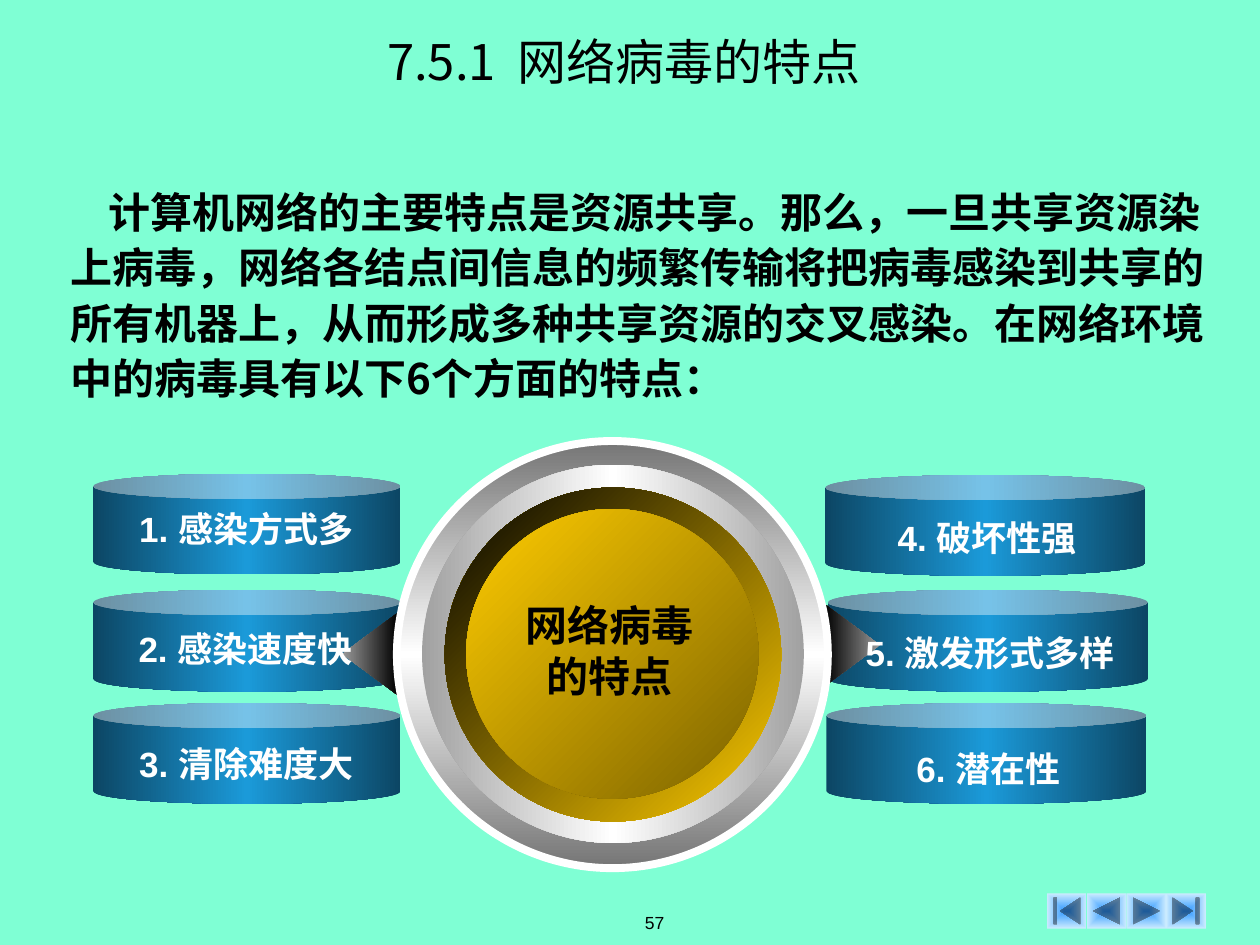
from dataclasses import dataclass

import pptx
import pptx.dml.color
import pptx.enum.shapes
import pptx.enum.text
import pptx.oxml.ns
import pptx.util
from lxml import etree

Inches = pptx.util.Inches
RGBColor = pptx.dml.color.RGBColor
Shape = pptx.enum.shapes.MSO_SHAPE
Align = pptx.enum.text.PP_ALIGN
Anchor = pptx.enum.text.MSO_ANCHOR
AutoSize = pptx.enum.text.MSO_AUTO_SIZE
qn = pptx.oxml.ns.qn

AQUA = RGBColor(0x7F, 0xFF, 0xD4)
BLACK = RGBColor(0, 0, 0)
WHITE = RGBColor(0xFF, 0xFF, 0xFF)
DEEP_BLUE = RGBColor(0x0C, 0x46, 0x64)
BRIGHT_BLUE = RGBColor(0x1B, 0x9A, 0xD9)
BUTTON_BLUE = RGBColor(0x33, 0x99, 0xFF)
BUTTON_PALE = RGBColor(0xCC, 0xEC, 0xFF)
DARK_GREY = RGBColor(0x75, 0x75, 0x75)
MID_GREY = RGBColor(0xA1, 0xA1, 0xA1)
ARROW_GREY = RGBColor(0x9A, 0x9A, 0x9A)
GOLD = RGBColor(0xFF, 0xCC, 0x00)
DARK_GOLD = RGBColor(0x7B, 0x62, 0x00)

LATIN = "Arial"
CJK = "Noto Sans CJK SC"


@dataclass
class Box:
    left: float
    top: float
    width: float
    height: float

    def lengths(self):
        return [Inches(v) for v in (self.left, self.top, self.width, self.height)]


@dataclass
class Gradient:
    """Evenly spaced colours; without an angle they spread from the centre."""
    colours: tuple
    angle: int | None = None


@dataclass
class Feature:
    text: str
    can: Box
    label: Box


@dataclass
class Arrow:
    box: Box
    rotation: int


@dataclass
class Disc:
    box: Box
    gradient: Gradient


CAN_GRADIENT = Gradient((DEEP_BLUE, BRIGHT_BLUE, DEEP_BLUE), 180)
BUTTON_GRADIENT = Gradient((BUTTON_BLUE, BUTTON_PALE))
ARROW_GRADIENT = Gradient((ARROW_GREY, BLACK), 90)

FEATURES = [
    Feature("1. 感染方式多", Box(0.74, 3.76, 2.44, 0.8), Box(0.79, 3.98, 2.33, 0.44)),
    Feature("2. 感染速度快", Box(0.74, 4.68, 2.44, 0.81), Box(0.77, 4.93, 2.36, 0.44)),
    Feature("3. 清除难度大", Box(0.74, 5.58, 2.44, 0.8), Box(0.79, 5.84, 2.33, 0.44)),
    Feature("4. 破坏性强", Box(6.55, 3.77, 2.54, 0.8), Box(6.99, 4.05, 1.69, 0.44)),
    Feature("5. 激发形式多样", Box(6.57, 4.68, 2.54, 0.81), Box(6.74, 4.96, 2.24, 0.44)),
    Feature("6. 潜在性", Box(6.56, 5.58, 2.54, 0.8), Box(7.14, 5.88, 1.41, 0.44)),
]
ARROWS = [
    Arrow(Box(2.61, 4.97, 0.65, 0.44), 270),
    Arrow(Box(6.44, 4.9, 0.65, 0.44), 90),
]
DISCS = [
    Disc(Box(3.15, 3.5, 3.42, 3.39), Gradient((DARK_GREY, WHITE, DARK_GREY), 90)),
    Disc(Box(3.35, 3.69, 3.03, 3), Gradient((MID_GREY, WHITE, MID_GREY), 180)),
    Disc(Box(3.53, 3.87, 2.67, 2.65), Gradient((GOLD, BLACK), 225)),
    Disc(Box(3.7, 4.04, 2.32, 2.3), Gradient((DARK_GOLD, GOLD), 225)),
]
BUTTONS = [
    Shape.ACTION_BUTTON_BEGINNING,
    Shape.ACTION_BUTTON_BACK_OR_PREVIOUS,
    Shape.ACTION_BUTTON_FORWARD_OR_NEXT,
    Shape.ACTION_BUTTON_END,
]


def fill_gradient(shape, gradient: Gradient) -> None:
    shape.fill.gradient()
    grad = shape._element.spPr.find(qn("a:gradFill"))
    for child in list(grad):
        grad.remove(child)
    stops = etree.SubElement(grad, qn("a:gsLst"))
    last = len(gradient.colours) - 1
    for i, colour in enumerate(gradient.colours):
        stop = etree.SubElement(stops, qn("a:gs"), pos=str(100000 * i // last))
        etree.SubElement(stop, qn("a:srgbClr"), val=str(colour))
    if gradient.angle is None:
        spread = etree.SubElement(grad, qn("a:path"), path="rect")
        etree.SubElement(spread, qn("a:fillToRect"),
                         l="50000", t="50000", r="50000", b="50000")
    else:
        etree.SubElement(grad, qn("a:lin"), ang=str(gradient.angle * 60000), scaled="1")


def add_solid(slide, kind, box: Box, gradient: Gradient):
    """Add a preset shape with a gradient fill and neither outline nor shadow."""
    shape = slide.shapes.add_shape(kind, *box.lengths())
    shape.shadow.inherit = False
    shape.line.fill.background()
    fill_gradient(shape, gradient)
    return shape


def style(paragraph, size: float, colour: RGBColor, bold=False, face=LATIN,
          align=Align.CENTER) -> None:
    paragraph.alignment = align
    font = paragraph.font
    font.size = pptx.util.Pt(size)
    font.bold = bold
    font.name = face
    font.color.rgb = colour
    defaults = paragraph._p.pPr.find(qn("a:defRPr"))
    etree.SubElement(defaults, qn("a:ea"), typeface=CJK)


def add_text(slide, box: Box, lines: list[str], size: float, colour: RGBColor,
             bold=True, anchor=Anchor.TOP) -> None:
    frame = slide.shapes.add_textbox(*box.lengths()).text_frame
    frame.margin_left = frame.margin_right = 0
    frame.word_wrap = False
    frame.auto_size = AutoSize.SHAPE_TO_FIT_TEXT
    frame.vertical_anchor = anchor
    frame.text = "\n".join(lines)
    for paragraph in frame.paragraphs:
        style(paragraph, size, colour, bold)


def place(placeholder, box: Box, text: str):
    """Move a placeholder, fill in its text and return its paragraph."""
    (placeholder.left, placeholder.top,
     placeholder.width, placeholder.height) = box.lengths()
    frame = placeholder.text_frame
    frame.auto_size = AutoSize.NONE
    frame.text = text
    return frame.paragraphs[0]


def add_heading_and_intro(slide) -> None:
    heading = place(slide.shapes.title, Box(0, 0.17, 9.9, 0.62), "7.5.1  网络病毒的特点")
    style(heading, 28, BLACK, face=CJK)

    body = slide.placeholders[1]
    intro = place(
        body, Box(0.56, 1.44, 9.21, 1.76),
        "计算机网络的主要特点是资源共享。那么，一旦共享资源染上病毒，"
        "网络各结点间信息的频繁传输将把病毒感染到共享的所有机器上，"
        "从而形成多种共享资源的交叉感染。在网络环境中的病毒具有以下6个方面的特点：")
    frame = body.text_frame
    frame.margin_left = frame.margin_right = frame.margin_top = frame.margin_bottom = 0
    frame.vertical_anchor = Anchor.TOP
    properties = intro._p.get_or_add_pPr()
    properties.set("marL", "0")
    properties.set("indent", str(Inches(0.3)))
    etree.SubElement(properties, qn("a:buNone"))
    intro.line_spacing = 1.1
    intro.space_before = pptx.util.Pt(0)
    style(intro, 24, BLACK, bold=True, face=CJK, align=Align.LEFT)


def main() -> None:
    deck = pptx.Presentation()
    deck.slide_width, deck.slide_height = Inches(10), Inches(7.5)
    slide = deck.slides.add_slide(deck.slide_layouts[1])
    slide.background.fill.solid()
    slide.background.fill.fore_color.rgb = AQUA

    add_heading_and_intro(slide)
    add_text(slide, Box(4.13, 7.14, 2.13, 0.36), ["57"], 10, BLACK,
             bold=False, anchor=Anchor.MIDDLE)
    for i, kind in enumerate(BUTTONS):
        add_solid(slide, kind, Box(8.31 + 0.315 * i, 7.09, 0.315, 0.28), BUTTON_GRADIENT)

    for feature in FEATURES:
        can = add_solid(slide, Shape.CAN, feature.can, CAN_GRADIENT)
        can.adjustments[0] = 0.25
    for arrow in ARROWS:
        pointer = add_solid(slide, Shape.UP_ARROW, arrow.box, ARROW_GRADIENT)
        pointer.adjustments[0], pointer.adjustments[1] = 0.52, 1
        pointer.rotation = arrow.rotation
    rim, *_ = [add_solid(slide, Shape.OVAL, disc.box, disc.gradient) for disc in DISCS]
    rim.line.color.rgb = WHITE
    rim.line.width = pptx.util.Pt(4.5)

    add_text(slide, Box(4.07, 4.71, 1.53, 0.9), ["网络病毒", "的特点"], 24, BLACK)
    for feature in FEATURES:
        add_text(slide, feature.label, [feature.text], 20, WHITE)

    deck.save("out.pptx")


if __name__ == "__main__":
    main()
